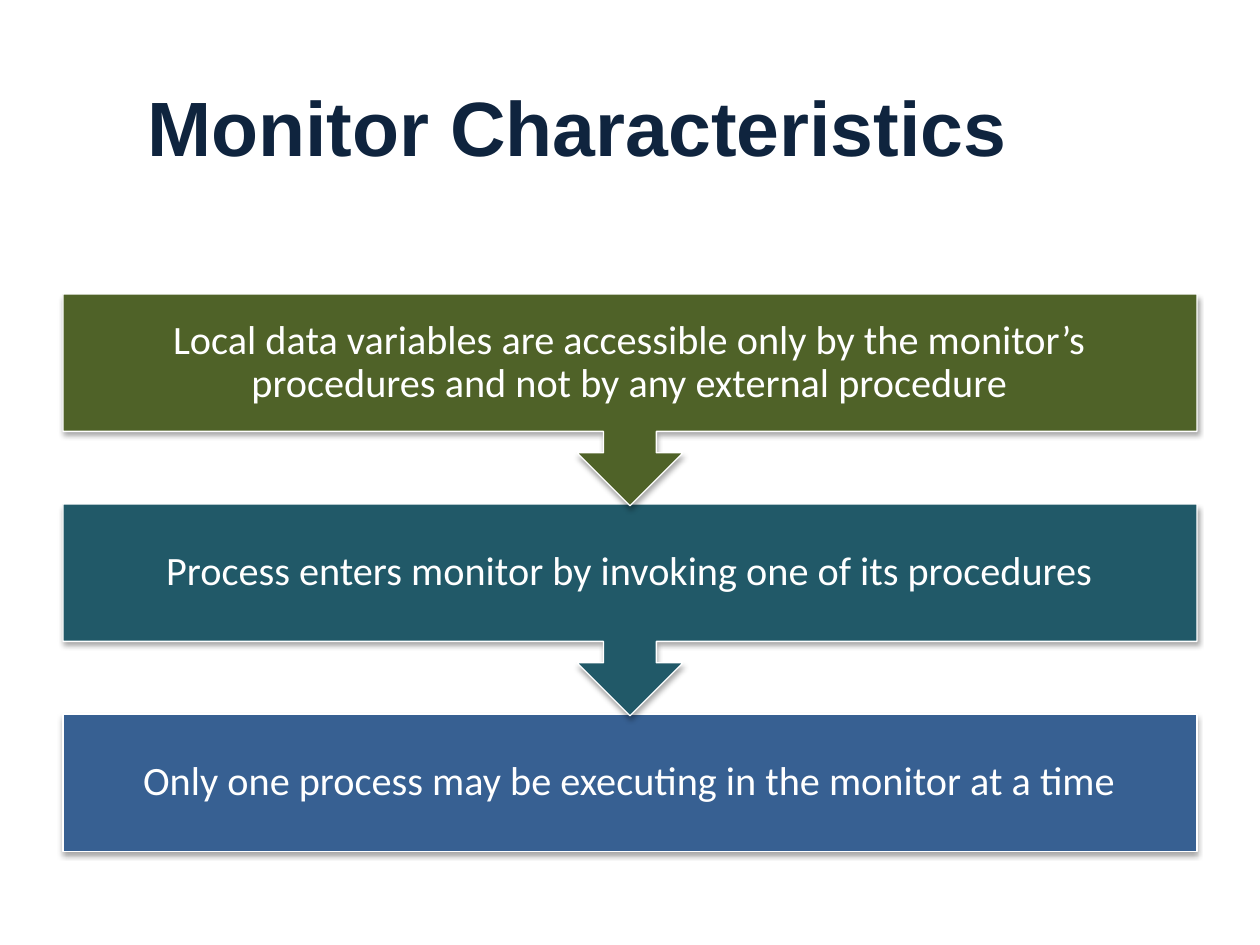
from lxml import etree
from pptx import Presentation
from pptx.dml.color import RGBColor
from pptx.enum import shapes, text
from pptx.oxml import ns
from pptx.util import Pt

COLORS = {
    "title": "0F243E",
    "white": "FFFFFF",
    "shadow": "000000",
    "green": "4F6228",
    "teal": "215968",
    "blue": "376092",
}
STEPS = [
    ("Local data variables are accessible only by the monitor’s procedures "
     "and not by any external procedure", "green"),
    ("Process enters monitor by invoking one of its procedures", "teal"),
    ("Only one process may be executing in the monitor at a time", "blue"),
]
LEFT, TOP, WIDTH, PITCH = 36, 168, 648, 120
BAR_HEIGHT, CALLOUT_HEIGHT = 78.5, 121
INSET = 13


def add_soft_shadow(shape):
    shape.shadow.inherit = False
    effects = shape._element.spPr.find(ns.qn("a:effectLst"))
    shadow = etree.SubElement(effects, ns.qn("a:outerShdw"), blurRad=str(Pt(3.1)),
                              dist=str(Pt(1.8)), dir="5400000", rotWithShape="0")
    color = etree.SubElement(shadow, ns.qn("a:srgbClr"), val=COLORS["shadow"])
    etree.SubElement(color, ns.qn("a:alpha"), val="35000")


def write_centred(shape, wording, font_name, size, color):
    frame = shape.text_frame
    frame.word_wrap = True
    frame.vertical_anchor = text.MSO_ANCHOR.MIDDLE
    paragraph = frame.paragraphs[0]
    paragraph.text = wording
    paragraph.alignment = text.PP_ALIGN.CENTER
    paragraph.font.name = font_name
    paragraph.font.size = Pt(size)
    paragraph.font.color.rgb = RGBColor.from_string(COLORS[color])
    return paragraph


presentation = Presentation()
presentation.slide_width, presentation.slide_height = Pt(720), Pt(540)
slide = presentation.slides.add_slide(presentation.slide_layouts[6])

title = slide.shapes.add_textbox(Pt(12), Pt(24), Pt(636), Pt(96))
write_centred(title, "Monitor Characteristics", "Arial", 44, "title").font.bold = True

# Drawn from the last step up, so each arrow tip lies over the next bar.
for index, (wording, color) in reversed(list(enumerate(STEPS))):
    is_last = index == len(STEPS) - 1
    kind = shapes.MSO_SHAPE.RECTANGLE if is_last else shapes.MSO_SHAPE.DOWN_ARROW_CALLOUT
    height = BAR_HEIGHT if is_last else CALLOUT_HEIGHT
    step = slide.shapes.add_shape(kind, Pt(LEFT), Pt(TOP + index * PITCH),
                                  Pt(WIDTH), Pt(height))
    if not is_last:
        step.adjustments[3] = BAR_HEIGHT / CALLOUT_HEIGHT
    step.fill.solid()
    step.fill.fore_color.rgb = RGBColor.from_string(COLORS[color])
    step.line.color.rgb = RGBColor.from_string(COLORS["white"])
    step.line.width = Pt(0.75)
    add_soft_shadow(step)

    frame = step.text_frame
    frame.margin_left = frame.margin_right = Pt(INSET)
    frame.margin_top = frame.margin_bottom = Pt(INSET)
    write_centred(step, wording, "Calibri", 23, "white").line_spacing = 0.9

presentation.save("out.pptx")
